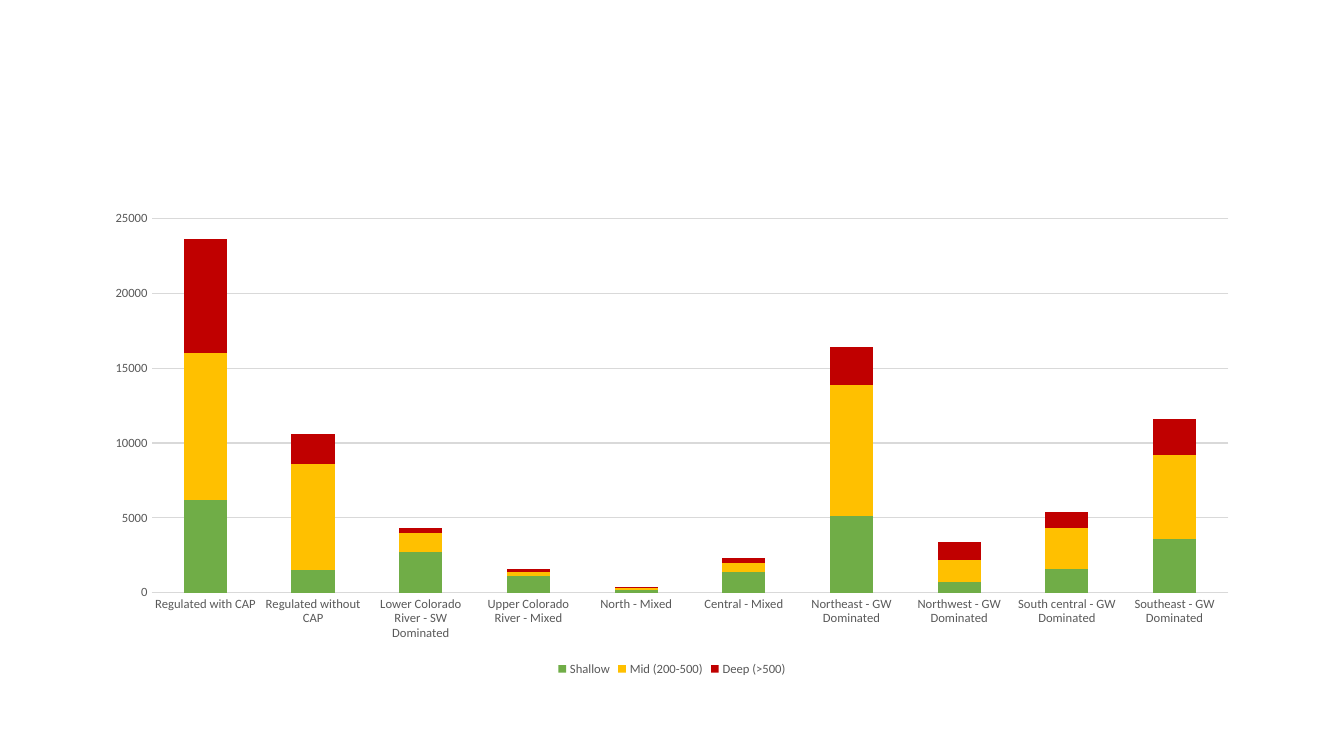
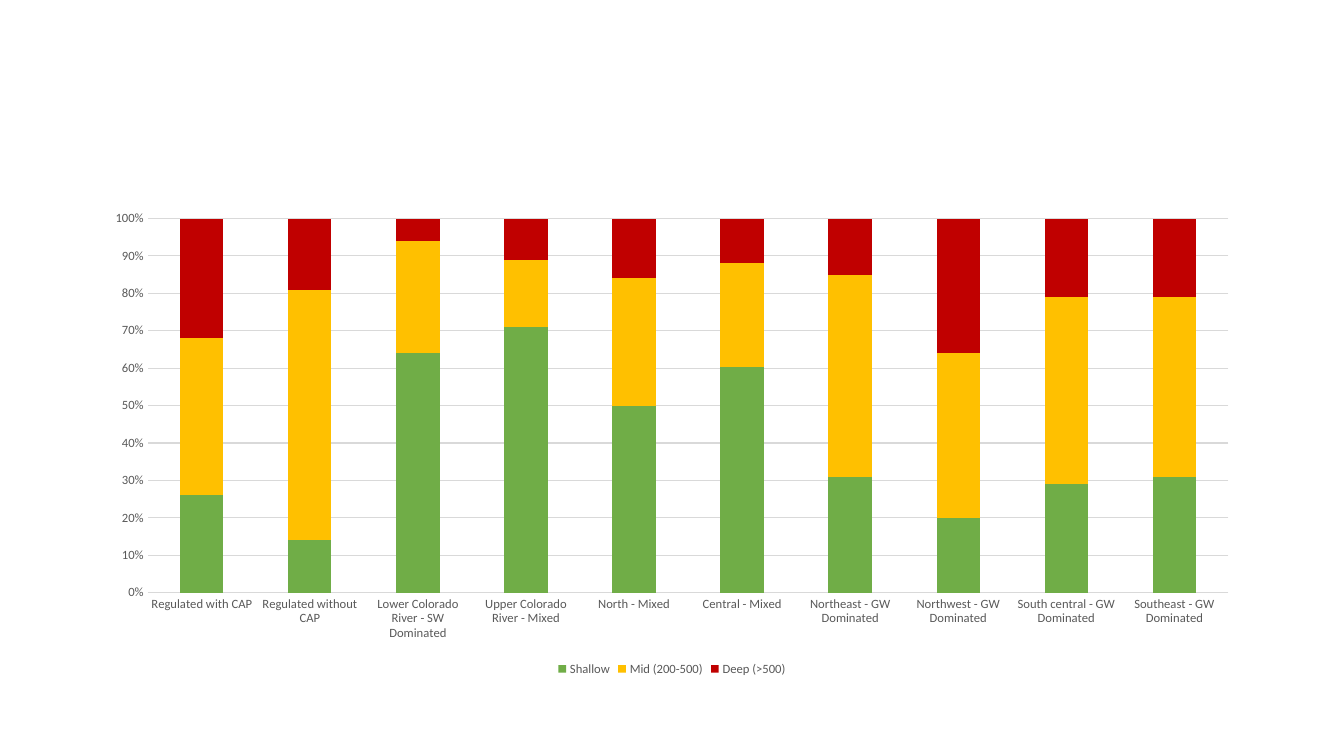
import pptx
import pptx.chart.data
import pptx.dml.color
import pptx.enum.chart
import pptx.util

EMU_PER_PX = 9525  # 96 px to the inch
BLANK_LAYOUT = 6

CATEGORIES = [
    "Regulated with CAP",
    "Regulated without CAP",
    "Lower Colorado River - SW Dominated",
    "Upper Colorado River - Mixed",
    "North - Mixed",
    "Central - Mixed",
    "Northeast - GW Dominated",
    "Northwest - GW Dominated",
    "South central - GW Dominated",
    "Southeast - GW Dominated",
]

# Values for each series, in the order of CATEGORIES
AMOUNTS = {
    "Shallow": [6200, 1500, 2700, 1100, 200, 1400, 5100, 700, 1600, 3600],
    "Mid (200-500)": [9800, 7100, 1300, 300, 100, 600, 8800, 1500, 2700, 5600],
    "Deep (>500)": [7600, 2000, 300, 200, 100, 300, 2500, 1200, 1100, 2400],
}
PERCENTAGES = {
    "Shallow": [26, 14, 64, 71, 50, 61, 31, 20, 29, 31],
    "Mid (200-500)": [42, 67, 30, 18, 34, 28, 54, 44, 50, 48],
    "Deep (>500)": [32, 19, 6, 11, 16, 12, 15, 36, 21, 21],
}


def px(length):
    return pptx.util.Emu(length * EMU_PER_PX)


def color(hex_string):
    return pptx.dml.color.RGBColor.from_string(hex_string)


class Slides:
    """Holds the shared style and the current slide."""

    font_name = "Calibri"
    text_color = "595959"
    line_color = "D9D9D9"
    series_colors = ["70AD47", "FFC000", "C00000"]
    chart_area = (88, 192, 1104, 456)

    def __init__(self):
        self.deck = pptx.Presentation()
        self.deck.slide_width = px(1280)
        self.deck.slide_height = px(720)
        self.page = None

    def add_page(self):
        layout = self.deck.slide_layouts[BLANK_LAYOUT]
        self.page = self.deck.slides.add_slide(layout)

    def style_font(self, font):
        font.name = self.font_name
        font.size = pptx.util.Pt(9)
        font.bold = False
        font.color.rgb = color(self.text_color)

    def style_line(self, line):
        line.color.rgb = color(self.line_color)
        line.width = pptx.util.Pt(0.75)

    def style_axis(self, axis):
        axis.major_tick_mark = pptx.enum.chart.XL_TICK_MARK.NONE
        axis.minor_tick_mark = pptx.enum.chart.XL_TICK_MARK.NONE
        self.style_font(axis.tick_labels.font)

    def stacked_columns(self, chart_type, series_values, number_format):
        # Data
        data = pptx.chart.data.CategoryChartData()
        data.categories = CATEGORIES
        for name, values in series_values.items():
            data.add_series(name, values)
        frame = self.page.shapes.add_chart(
            chart_type, *map(px, self.chart_area), data)
        chart = frame.chart
        chart.has_title = False
        chart.font.name = self.font_name
        chart.font.size = pptx.util.Pt(10)

        # Columns
        plot = chart.plots[0]
        plot.gap_width = 150
        plot.overlap = 100
        plot.vary_by_categories = False
        for series, fill_color in zip(plot.series, self.series_colors):
            series.format.fill.solid()
            series.format.fill.fore_color.rgb = color(fill_color)

        # Axes
        self.style_axis(chart.category_axis)
        self.style_line(chart.category_axis.format.line)
        value_axis = chart.value_axis
        self.style_axis(value_axis)
        value_axis.format.line.fill.background()
        value_axis.has_major_gridlines = True
        self.style_line(value_axis.major_gridlines.format.line)
        value_axis.tick_labels.number_format = number_format
        value_axis.tick_labels.number_format_is_linked = False

        # Legend
        chart.has_legend = True
        chart.legend.position = pptx.enum.chart.XL_LEGEND_POSITION.BOTTOM
        chart.legend.include_in_layout = False
        self.style_font(chart.legend.font)


def main():
    slides = Slides()
    chart_types = pptx.enum.chart.XL_CHART_TYPE

    # Stacked amounts
    slides.add_page()
    slides.stacked_columns(chart_types.COLUMN_STACKED, AMOUNTS, "General")

    # Stacked percentages
    slides.add_page()
    slides.stacked_columns(chart_types.COLUMN_STACKED_100, PERCENTAGES, "0%")

    slides.deck.save("out.pptx")


if __name__ == "__main__":
    main()
